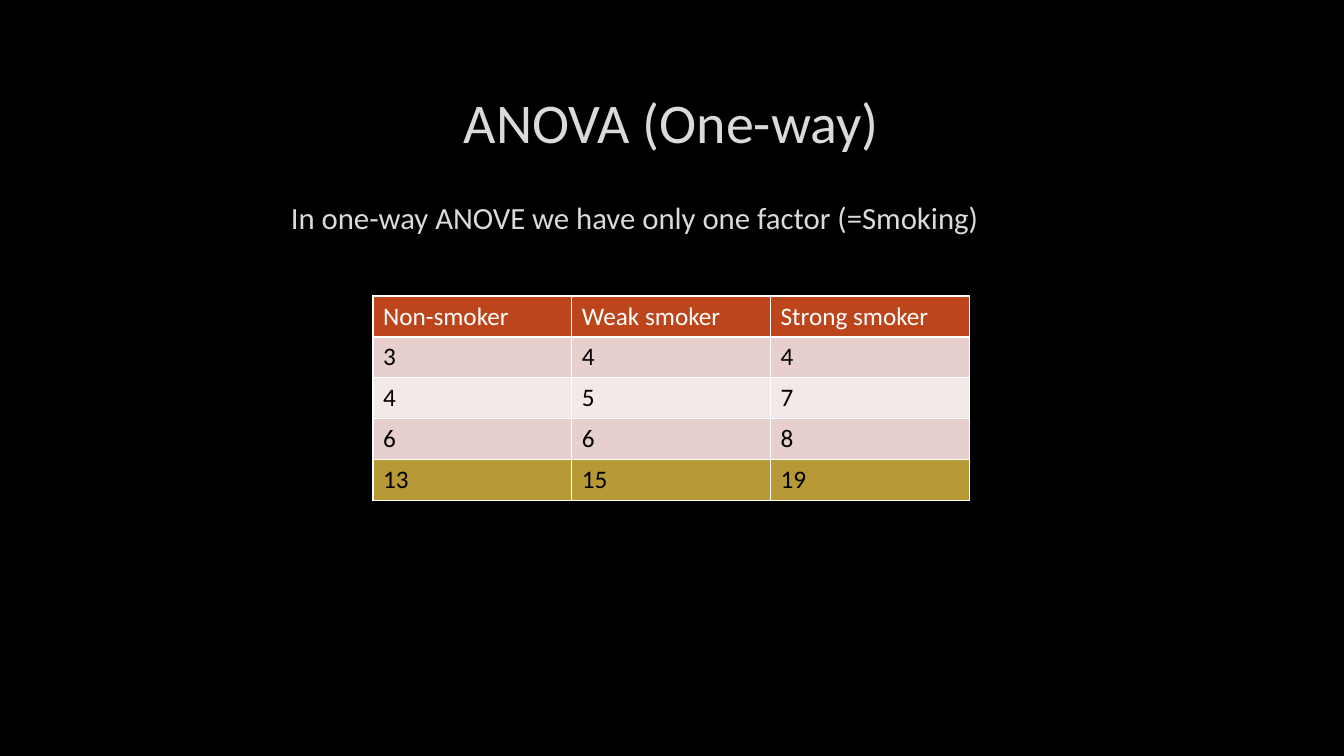
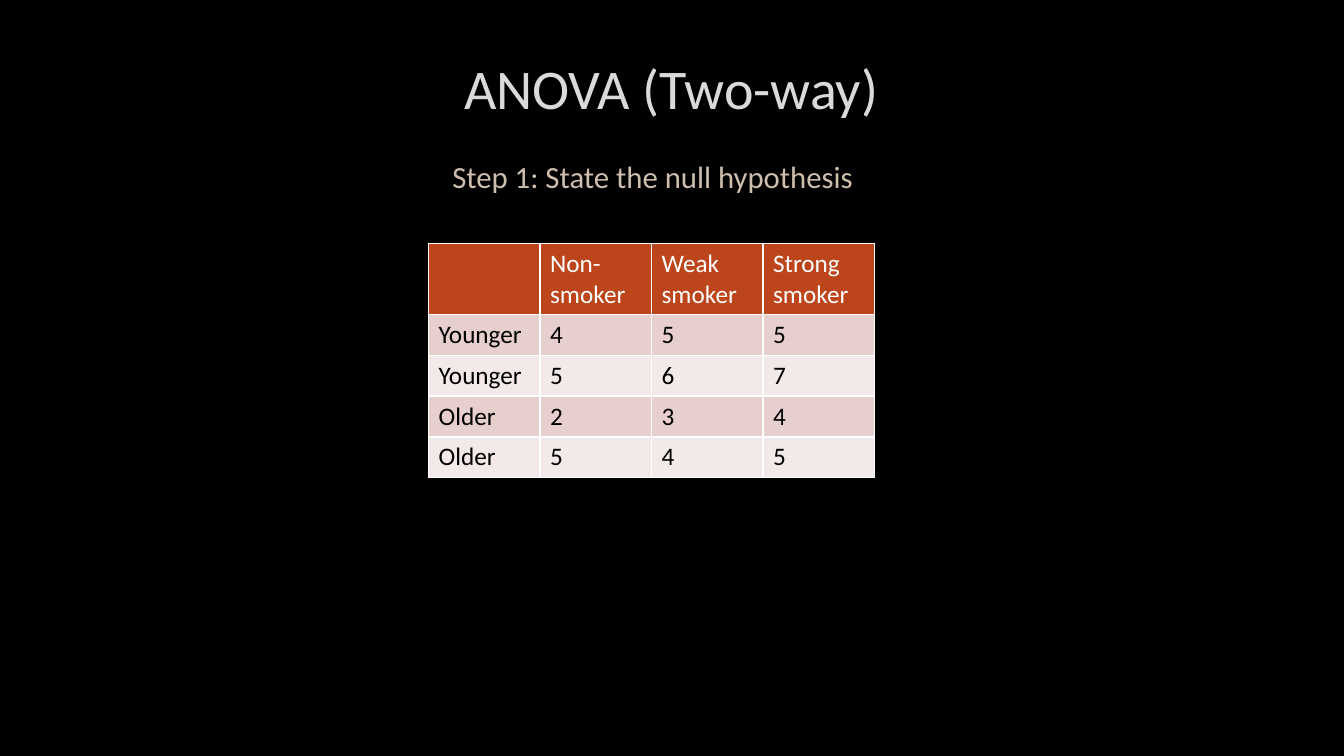
from pptx import Presentation
from pptx.dml.color import RGBColor
from pptx.enum import text
from pptx.util import Cm, Pt

COLORS = {
    "background": "000000", "heading": "DADADA", "step": "CEBEAD",
    "header": "BC451B", "header_text": "FFFFFF", "cell_text": "000000",
    "odd_row": "E7CFCD", "even_row": "F3E9E8", "total": "B79935",
}
FONT = "Calibri"
SLIDE_WIDTH, SLIDE_HEIGHT = 33.87, 19.05
ROW_HEIGHT = 1.03


def color(name):
    return RGBColor.from_string(COLORS[name])


def write(frame, words, size=18, ink="cell_text", align=text.PP_ALIGN.LEFT,
          indent=0):
    """Put one formatted paragraph into a text frame."""
    paragraph = frame.paragraphs[0]
    paragraph.alignment = align
    if indent:
        paragraph._p.get_or_add_pPr().set("marL", str(Cm(indent)))
    run = paragraph.add_run()
    run.text = words
    run.font.name, run.font.size, run.font.bold = FONT, Pt(size), False
    run.font.color.rgb = color(ink)


class Deck:
    """Shared style and the slide being built."""

    def __init__(self):
        self.presentation = Presentation()
        self.presentation.slide_width = Cm(SLIDE_WIDTH)
        self.presentation.slide_height = Cm(SLIDE_HEIGHT)
        self.slide = None

    def new_slide(self):
        blank = self.presentation.slide_layouts[6]
        self.slide = self.presentation.slides.add_slide(blank)
        fill = self.slide.background.fill
        fill.solid()
        fill.fore_color.rgb = color("background")

    def text_box(self, words, left, top, width, height,
                 anchor=text.MSO_ANCHOR.TOP, **style):
        frame = self.slide.shapes.add_textbox(
            Cm(left), Cm(top), Cm(width), Cm(height)).text_frame
        frame.word_wrap = True
        frame.vertical_anchor = anchor
        write(frame, words, **style)

    def title(self, words, top):
        self.text_box(words, 2.54, top, 28.75, 2.69, text.MSO_ANCHOR.MIDDLE,
                      size=40, ink="heading", align=text.PP_ALIGN.CENTER)

    def statement(self, words, left, top, ink="heading"):
        self.text_box(words, left, top, SLIDE_WIDTH - left, 1.2,
                      size=22, ink=ink, indent=0.1)

    def table(self, rows, left, top, column_width, header_height=ROW_HEIGHT,
              has_total=False):
        columns = len(rows[0])
        height = header_height + ROW_HEIGHT * (len(rows) - 1)
        grid = self.slide.shapes.add_table(
            len(rows), columns, Cm(left), Cm(top),
            Cm(column_width * columns), Cm(height)).table
        for column in grid.columns:
            column.width = Cm(column_width)
        for r, values in enumerate(rows):
            grid.rows[r].height = Cm(ROW_HEIGHT if r else header_height)
            if r == 0:
                band = "header"
            elif has_total and r == len(rows) - 1:
                band = "total"
            else:
                band = "odd_row" if r % 2 else "even_row"
            for c, value in enumerate(values):
                cell = grid.cell(r, c)
                cell.fill.solid()
                cell.fill.fore_color.rgb = color(band)
                if value != "":
                    write(cell.text_frame, str(value),
                          ink="cell_text" if r else "header_text")


def main():
    deck = Deck()
    smokers = ["Non-smoker", "Weak smoker", "Strong smoker"]

    # One-way: smoking is the only factor, with column totals
    deck.new_slide()
    deck.title("ANOVA (One-way)", 1.7)
    deck.statement("In one-way ANOVE we have only one factor (=Smoking)",
                   6.98, 4.88)
    scores = [[3, 4, 4], [4, 5, 7], [6, 6, 8]]
    totals = [sum(group) for group in zip(*scores)]
    deck.table([smokers, *scores, totals], 9.4, 7.46, 5.01, has_total=True)

    # Two-way: smoking and age
    deck.new_slide()
    deck.title("ANOVA (Two-way)", 0.84)
    deck.table([["", *smokers],
                ["Younger", 4, 5, 5],
                ["Younger", 5, 6, 7],
                ["Older", 2, 3, 4],
                ["Older", 5, 4, 5]],
               10.8, 6.14, 2.81, header_height=1.78)
    deck.statement("Step 1: State the null hypothesis", 11.05, 3.86, "step")

    deck.presentation.save("out.pptx")


if __name__ == "__main__":
    main()
